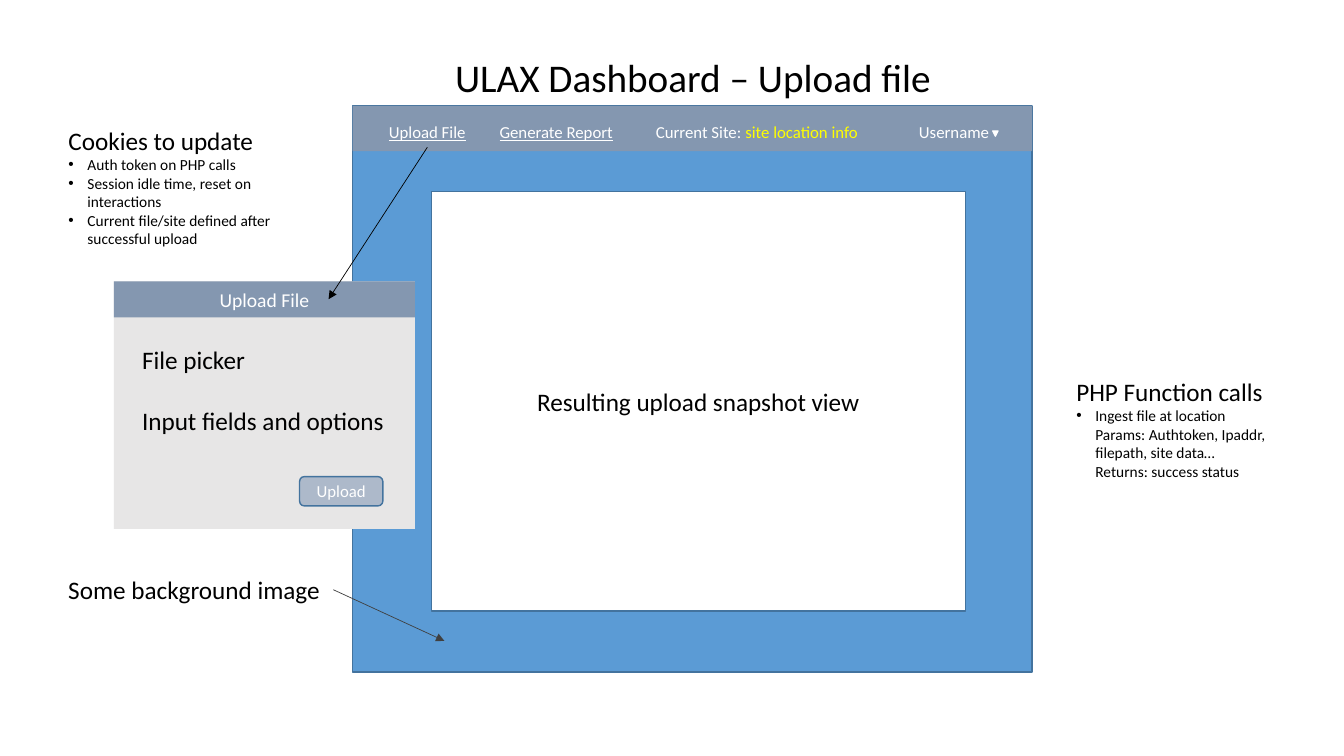
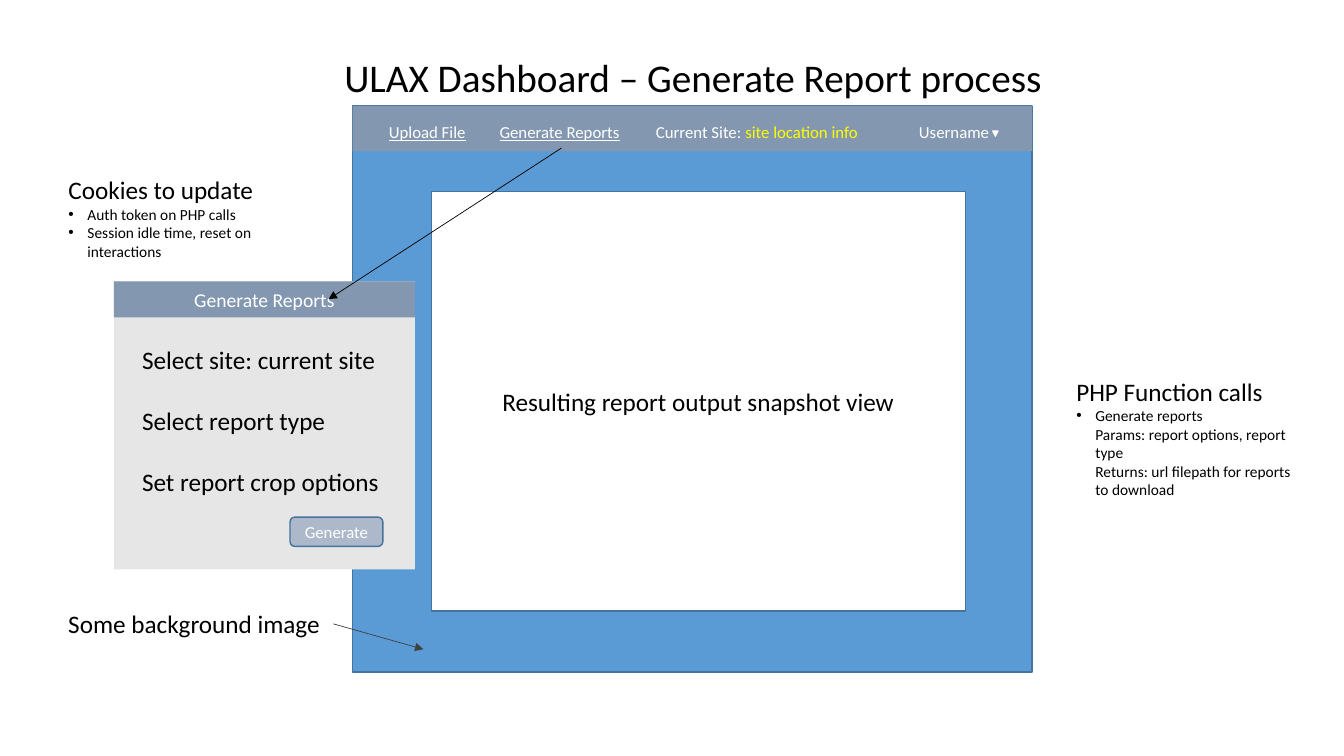
import copy
import pptx
import pptx.util
import pptx.dml.color
import pptx.enum.shapes
import pptx.enum.text
import pptx.oxml
import pptx.oxml.ns

Cm = pptx.util.Cm
Pt = pptx.util.Pt
Shape = pptx.enum.shapes.MSO_SHAPE
Align = pptx.enum.text.PP_ALIGN
Anchor = pptx.enum.text.MSO_ANCHOR
AutoSize = pptx.enum.text.MSO_AUTO_SIZE

BLACK, WHITE, YELLOW, CHARCOAL = "000000", "FFFFFF", "FFFF00", "404040"
BLUE, BORDER, SLATE = "5B9BD5", "43739E", "8497B0"
PANEL_GRAY, BUTTON_GRAY = "E7E6E6", "ADB9CA"

DASHBOARD = (8.89, 2.67, 17.12, 14.27)
NAV_HEIGHT, NAV_TEXT_TOP, NAV_TEXT_HEIGHT = 1.14, 2.95, 0.76
SNAPSHOT = (10.87, 4.83, 13.46, 10.57)
PANEL_LEFT, PANEL_TOP, PANEL_WIDTH, PANEL_HEADER = 2.87, 7.09, 7.59, 0.91
LINE_HEIGHT, OPTION_STEP = 1.02, 1.55
BUTTON_RIGHT, BUTTON_HEIGHT, BUTTON_MARGIN = 9.65, 0.74, 0.58
TITLE_CENTER = 17.46

PAGES = [
    {
        "title": "ULAX Dashboard – Upload file process",
        "title_width": 15.75,
        "report_link": "Generate Report",
        "report_width": 3.4,
        "cookies": ["Auth token on PHP calls",
                    "Session idle time, reset on interactions",
                    "Current file/site defined after successful upload"],
        "cookies_top": 3.02,
        "cookies_height": 3.38,
        "calls": ["Ingest file at location\nParams: Authtoken, Ipaddr, filepath, site data…\n"
                  "Returns: success status"],
        "calls_height": 2.9,
        "panel": "Upload File",
        "panel_height": 6.24,
        "options": ["File picker", "Input fields and options"],
        "button": "Upload",
        "button_width": 2.1,
        "snapshot": "Resulting upload snapshot view",
        "link_start": (10.77, 3.71),
        "label_top": 14.35,
        "label_target": (11.2, 16.15),
    },
    {
        "title": "ULAX Dashboard – Generate Report process",
        "title_width": 18.08,
        "report_link": "Generate Reports",
        "report_width": 3.58,
        "cookies": ["Auth token on PHP calls",
                    "Session idle time, reset on interactions"],
        "cookies_top": 4.27,
        "cookies_height": 2.44,
        "calls": ["Generate reports\nParams: report options, report type\n"
                  "Returns: url filepath for reports to download"],
        "calls_height": 3.38,
        "panel": "Generate Reports",
        "panel_height": 7.26,
        "options": ["Select site: current site", "Select report type", "Set report crop options"],
        "button": "Generate",
        "button_width": 2.34,
        "snapshot": "Resulting report output snapshot view",
        "link_start": (14.15, 3.73),
        "label_top": 15.21,
        "label_target": (10.67, 16.36),
    },
]


def rgb(color):
    return pptx.dml.color.RGBColor.from_string(color)


def add_xml(parent, tag, **attributes):
    child = pptx.oxml.parse_xml(f"<a:{tag} {pptx.oxml.ns.nsdecls('a')}/>")
    for name, value in attributes.items():
        child.set(name, str(value))
    parent.append(child)


def write(frame, text, size=18, color=BLACK, underline=False, align=Align.LEFT,
          before=0, bullet=False):
    para = frame.add_paragraph() if frame.text else frame.paragraphs[0]
    para.alignment = align
    para.space_before = Pt(before)
    properties = para._p.get_or_add_pPr()
    indent = Cm(0.48) if bullet else 0
    properties.set("marL", str(indent))
    properties.set("indent", str(-indent))
    if bullet:
        add_xml(properties, "buFont", typeface="Arial")
        add_xml(properties, "buChar", char="•")
    else:
        add_xml(properties, "buNone")
    parts = text if isinstance(text, list) else [(text, color)]
    for words, shade in parts:
        for number, line in enumerate(words.split("\n")):
            if number:
                para.add_line_break()
            span = para.add_run()
            span.text = line
            span.font.name = "Calibri"
            span.font.size = Pt(size)
            span.font.underline = underline
            span.font.color.rgb = rgb(shade)
            if number:
                span._r.getprevious().append(copy.deepcopy(span._r.rPr))


def place(box, left, top, width, height):
    box.left, box.top, box.width, box.height = Cm(left), Cm(top), Cm(width), Cm(height)


def add_label(shapes, area):
    box = shapes.add_textbox(*map(Cm, area))
    box.text_frame.word_wrap = False
    return box.text_frame


def add_block(shapes, kind, area, fill, line=None, text=None, **style):
    block = shapes.add_shape(kind, *map(Cm, area))
    block.shadow.inherit = False
    block.fill.solid()
    block.fill.fore_color.rgb = rgb(fill)
    if line:
        block.line.color.rgb = rgb(line)
        block.line.width = Pt(1)
    else:
        block.line.fill.background()
    if text:
        block.text_frame.vertical_anchor = Anchor.MIDDLE
        write(block.text_frame, text, align=Align.CENTER, **style)
    return block


def add_arrow(shapes, start, end, color):
    arrow = shapes.add_connector(pptx.enum.shapes.MSO_CONNECTOR.STRAIGHT,
                                 *map(Cm, start + end))
    arrow.line.color.rgb = rgb(color)
    arrow.line.width = Pt(0.5)
    add_xml(arrow.line._get_or_add_ln(), "tailEnd", type="triangle")
    add_xml(arrow._element.spPr, "effectLst")


def fill_title(box, text, width):
    place(box, TITLE_CENTER - width / 2, 1.22, width, 1.45)
    frame = box.text_frame
    frame.auto_size = AutoSize.NONE
    frame.word_wrap = False
    frame.vertical_anchor = Anchor.TOP
    write(frame, text, size=28, align=Align.CENTER)


def fill_list(box, area, heading, items):
    place(box, *area)
    frame = box.text_frame
    frame.auto_size = AutoSize.NONE
    frame.word_wrap = True
    write(frame, heading)
    for item in items:
        write(frame, item, size=11, bullet=True)


def add_navigation(shapes, content):
    left, top, width, height = DASHBOARD
    add_block(shapes, Shape.RECTANGLE, (left, top, width, NAV_HEIGHT), SLATE)
    entries = [
        (9.55, 2.46, "Upload File", True),
        (12.34, content["report_width"], content["report_link"], True),
        (16.28, 5.66, [("Current Site: ", WHITE), ("site location info", YELLOW)], False),
        (22.91, 2.31, "Username", False),
    ]
    for left, width, text, underline in entries:
        frame = add_label(shapes, (left, NAV_TEXT_TOP, width, NAV_TEXT_HEIGHT))
        write(frame, text, size=12, color=WHITE, underline=underline)
    marker = add_block(shapes, Shape.ISOSCELES_TRIANGLE, (25.02, 3.3, 0.13, 0.13), WHITE, WHITE)
    marker.rotation = 180


def add_panel(shapes, content):
    height, options = content["panel_height"], content["options"]
    add_block(shapes, Shape.RECTANGLE, (PANEL_LEFT, PANEL_TOP, PANEL_WIDTH, height), PANEL_GRAY)
    add_block(shapes, Shape.RECTANGLE, (PANEL_LEFT, PANEL_TOP, PANEL_WIDTH, PANEL_HEADER),
              SLATE, text=content["panel"], size=14, color=WHITE)
    text_height = LINE_HEIGHT + OPTION_STEP * (len(options) - 1)
    frame = add_label(shapes, (3.33, 8.56, 6.65, text_height))
    for number, option in enumerate(options):
        write(frame, option, before=22 if number else 0)
    width = content["button_width"]
    top = PANEL_TOP + height - BUTTON_MARGIN - BUTTON_HEIGHT
    add_block(shapes, Shape.ROUNDED_RECTANGLE,
              (BUTTON_RIGHT - width, top, width, BUTTON_HEIGHT),
              BUTTON_GRAY, BORDER, content["button"], size=12, color=WHITE)


def build_page(deck, content):
    page = deck.slides.add_slide(deck.slide_layouts.get_by_name("Two Content"))
    shapes = page.shapes
    title, cookies, calls = page.placeholders
    fill_title(title, content["title"], content["title_width"])
    fill_list(cookies, (1.47, content["cookies_top"], 6.6, content["cookies_height"]),
              "Cookies to update", content["cookies"])
    fill_list(calls, (26.87, 9.35, 6.17, content["calls_height"]),
              "PHP Function calls", content["calls"])

    add_block(shapes, Shape.RECTANGLE, DASHBOARD, BLUE, BORDER)
    add_navigation(shapes, content)
    add_block(shapes, Shape.RECTANGLE, SNAPSHOT, WHITE, BORDER, content["snapshot"])
    add_panel(shapes.add_group_shape().shapes, content)
    add_arrow(shapes, content["link_start"], (8.28, 7.54), BLACK)

    label_top = content["label_top"]
    write(add_label(shapes, (1.47, label_top, 6.93, LINE_HEIGHT)), "Some background image")
    add_arrow(shapes, (8.4, label_top + LINE_HEIGHT / 2), content["label_target"], CHARCOAL)


deck = pptx.Presentation()
deck.slide_width, deck.slide_height = Cm(33.87), Cm(19.05)
for content in PAGES:
    build_page(deck, content)
deck.save("out.pptx")
